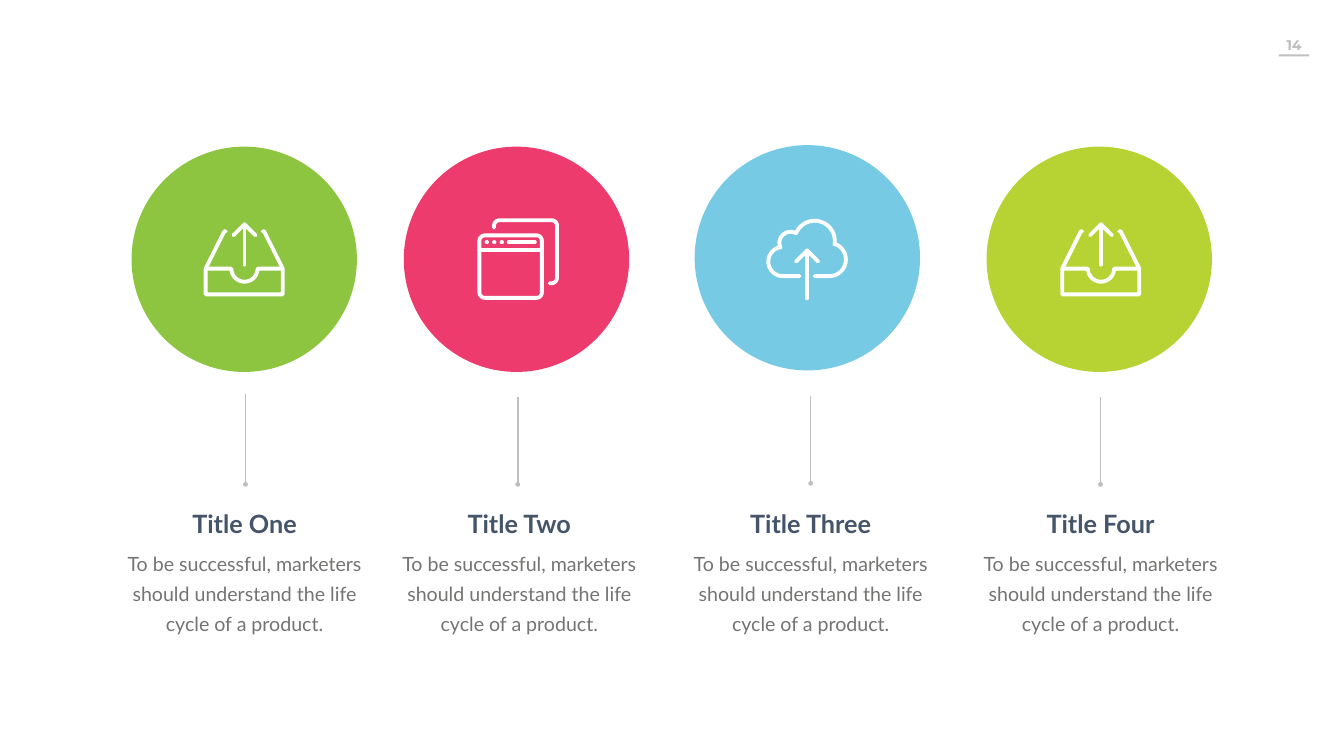
from dataclasses import dataclass
from math import cos, radians, sin

from pptx import Presentation
from pptx.dml.color import RGBColor
from pptx.enum.shapes import MSO_CONNECTOR, MSO_SHAPE
from pptx.enum.text import MSO_ANCHOR, PP_ALIGN
from pptx.oxml.ns import qn
from pptx.oxml.xmlchemy import OxmlElement
from pptx.slide import Slide
from pptx.util import Inches, Pt

Point = tuple[float, float]
Stroke = list[Point]


@dataclass(frozen=True)
class Theme:
    heading: str = "445469"
    body: str = "737572"
    muted: str = "BFBFBF"
    icon: str = "FFFFFF"
    font: str = "Lato"
    number_font: str = "Montserrat"
    heading_size: int = 36
    body_size: int = 28
    body_spacing: int = 43
    number_size: int = 20
    stem_width: float = 2.25
    icon_width: float = 5.5


@dataclass(frozen=True)
class Column:
    title: str
    color: str
    circle: Point  # left, top
    icon: list[Stroke]
    icon_at: Point  # left, top
    stem: tuple[float, float, float]  # x, top, bottom
    text_left: float


THEME = Theme()
DIAMETER = 4.47
TEXT_WIDTH = 4.88
DESCRIPTION = "To be successful, marketers should understand the life cycle of a product."


# Icon strokes, in inches from the icon's top left corner
def arc(x: float, y: float, radius: float, start: int, end: int) -> Stroke:
    """Points on an arc; angles run clockwise from the right."""
    steps = 16
    angles = [radians(start + (end - start) * i / steps) for i in range(steps + 1)]
    return [(x + radius * cos(a), y + radius * sin(a)) for a in angles]


def up_arrow(tip: float, tail: float) -> list[Stroke]:
    return [[(0.81, tail), (0.81, tip)],
            [(0.59, tip + 0.22), (0.81, tip), (1.03, tip + 0.22)]]


def tray_icon() -> list[Stroke]:
    box = [(0.04, 0.92), (0.04, 1.43), (1.57, 1.43), (1.57, 0.92),
           *arc(0.81, 0.92, 0.26, 0, 180), (0.04, 0.92)]
    left_side = [(0.04, 0.92), (0.41, 0.18), (0.44, 0.18)]
    right_side = [(1.61 - x, y) for x, y in left_side]
    return [box, left_side, right_side, *up_arrow(0.04, 0.84)]


def window_icon() -> list[Stroke]:
    radius = 0.11
    front = [*arc(0.15, 0.45, radius, 180, 270), *arc(1.17, 0.45, radius, 270, 360),
             *arc(1.17, 1.47, radius, 0, 90), *arc(0.15, 1.47, radius, 90, 180),
             (0.04, 0.45)]
    back = [(0.33, 0.19), *arc(0.44, 0.15, radius, 180, 270),
            *arc(1.47, 0.15, radius, 270, 360), *arc(1.47, 1.18, radius, 0, 90),
            (1.43, 1.29)]
    dots = [[(x, 0.48), (x + 0.01, 0.48)] for x in (0.18, 0.33, 0.48)]
    return [front, back, [(0.04, 0.63), (1.28, 0.63)], [(0.62, 0.48), (1.14, 0.48)], *dots]


def cloud_icon() -> list[Stroke]:
    cloud = [(0.66, 1.14), *arc(0.33, 0.85, 0.29, 90, 255), *arc(0.48, 0.48, 0.22, 155, 300),
             *arc(0.96, 0.44, 0.4, 205, 370), *arc(1.25, 0.81, 0.33, -68, 90), (0.96, 1.14)]
    return [cloud, *up_arrow(0.63, 1.58)]


COLUMNS = [
    Column("Title One", "8DC540", (2.61, 2.91), tray_icon(), (4.04, 4.41), (4.87, 7.81, 9.61), 2.41),
    Column("Title Two", "EE3B6D", (8.01, 2.91), window_icon(), (9.47, 4.33), (10.27, 7.88, 9.61), 7.86),
    Column("Title Three", "76CAE3", (13.78, 2.88), cloud_icon(), (15.2, 4.34), (16.08, 7.86, 9.59), 13.64),
    Column("Title Four", "B7D333", (19.57, 2.91), tray_icon(), (21.03, 4.41), (21.83, 7.88, 9.61), 19.39),
]


def add_solid(page: Slide, kind: MSO_SHAPE, left: float, top: float,
              width: float, height: float, color: str) -> None:
    shape = page.shapes.add_shape(kind, Inches(left), Inches(top), Inches(width), Inches(height))
    shape.shadow.inherit = False
    shape.fill.solid()
    shape.fill.fore_color.rgb = RGBColor.from_string(color)
    shape.line.fill.background()


def add_text(page: Slide, text: str, left: float, top: float, width: float, height: float,
             font: str, size: int, color: str, bold: bool = False,
             spacing: int | None = None) -> None:
    box = page.shapes.add_textbox(Inches(left), Inches(top), Inches(width), Inches(height))
    frame = box.text_frame
    frame.word_wrap = True
    frame.vertical_anchor = MSO_ANCHOR.TOP
    frame.text = text
    paragraph = frame.paragraphs[0]
    paragraph.alignment = PP_ALIGN.CENTER
    if spacing:
        paragraph.line_spacing = Pt(spacing)
    span = paragraph.runs[0]
    span.font.name = font
    span.font.size = Pt(size)
    span.font.bold = bold
    span.font.color.rgb = RGBColor.from_string(color)


def add_stem(page: Slide, x: float, top: float, bottom: float) -> None:
    stem = page.shapes.add_connector(MSO_CONNECTOR.STRAIGHT, Inches(x), Inches(top),
                                     Inches(x), Inches(bottom))
    stem.line.color.rgb = RGBColor.from_string(THEME.muted)
    stem.line.width = Pt(THEME.stem_width)
    properties = stem.element.spPr
    dot = OxmlElement("a:tailEnd")
    dot.set("type", "oval")
    properties.find(qn("a:ln")).append(dot)
    properties.append(OxmlElement("a:effectLst"))


def add_icon(page: Slide, strokes: list[Stroke], origin: Point) -> None:
    left, top = origin
    builder = None
    for stroke in strokes:
        start, *rest = [(Inches(left + x), Inches(top + y)) for x, y in stroke]
        if builder is None:
            builder = page.shapes.build_freeform(*start)
        else:
            builder.move_to(*start)
        builder.add_line_segments(rest, close=False)
    icon = builder.convert_to_shape()
    icon.shadow.inherit = False
    icon.fill.background()
    icon.line.color.rgb = RGBColor.from_string(THEME.icon)
    icon.line.width = Pt(THEME.icon_width)
    outline = icon.element.spPr.find(qn("a:ln"))
    outline.set("cap", "rnd")
    outline.append(OxmlElement("a:round"))


def add_column(page: Slide, column: Column) -> None:
    add_stem(page, *column.stem)
    add_solid(page, MSO_SHAPE.OVAL, *column.circle, DIAMETER, DIAMETER, column.color)
    add_icon(page, column.icon, column.icon_at)
    add_text(page, column.title, column.text_left, 10.04, TEXT_WIDTH, 0.71,
             THEME.font, THEME.heading_size, THEME.heading, bold=True)
    add_text(page, DESCRIPTION, column.text_left, 10.77, TEXT_WIDTH, 1.84,
             THEME.font, THEME.body_size, THEME.body, spacing=THEME.body_spacing)


def main() -> None:
    deck = Presentation()
    deck.slide_width, deck.slide_height = Inches(26.66), Inches(15)
    page = deck.slides.add_slide(deck.slide_layouts[6])

    # Page number with its underline
    add_text(page, "14", 25.2, 0.67, 0.94, 0.44,
             THEME.number_font, THEME.number_size, THEME.muted, bold=True)
    add_solid(page, MSO_SHAPE.RECTANGLE, 25.37, 1.08, 0.6, 0.04, THEME.muted)

    # Four columns: circle, icon, stem and text
    for column in COLUMNS:
        add_column(page, column)

    deck.save("out.pptx")


if __name__ == "__main__":
    main()
